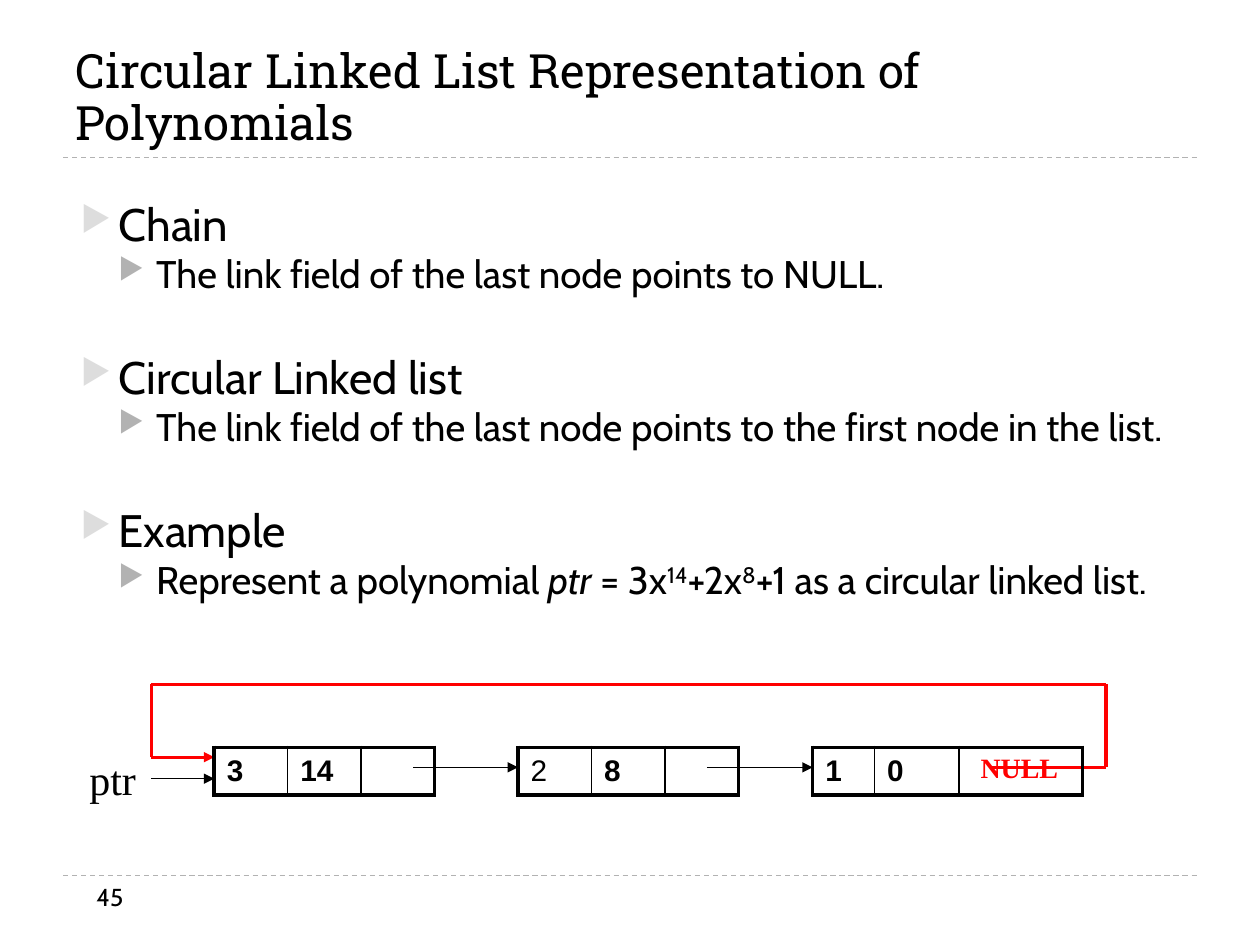
from lxml import etree
from pptx import Presentation
from pptx.dml.color import RGBColor
from pptx.enum.dml import MSO_LINE
from pptx.enum.shapes import MSO_CONNECTOR
from pptx.enum.text import MSO_ANCHOR, PP_ALIGN
from pptx.oxml.ns import qn
from pptx.util import Pt

STRAIGHT = MSO_CONNECTOR.STRAIGHT
DASH = MSO_LINE.DASH
BOTTOM = MSO_ANCHOR.BOTTOM
MIDDLE = MSO_ANCHOR.MIDDLE
CENTER = PP_ALIGN.CENTER

BLACK, RED, GRAY, LIGHT_GRAY = "000000", "FF0000", "B2B2B2", "DDDDDD"
SERIF, BODY_FONT = "Times New Roman", "Cabin"

TOPICS = [
    ("Chain", [("The link field of the last node points to NULL.", "")]),
    ("Circular Linked list",
     [("The link field of the last node points to the first node in the list.", "")]),
    ("Example",
     [("Represent a polynomial ", ""), ("ptr", "italic"), (" = 3x", ""), ("14", "super"),
      ("+2x", ""), ("8", "super"), ("+1 as a circular linked list.", "")]),
]
NODES = [
    (78.4, [42, 42, 42], [("3", True), ("14", True), ("", False)]),
    (252, [42, 42, 42], [("2", False), ("8", True), ("", False)]),
    (420.4, [35.3, 48.2, 70.6], [("1", True), ("0", True), ("", False)]),
]


def color(value):
    return RGBColor.from_string(value)


def format_run(run, size, name, fill=BLACK, bold=False):
    run.font.size = Pt(size)
    run.font.name = name
    run.font.bold = bold
    run.font.color.rgb = color(fill)


def add_text(slide, left, top, width, height, text, size, name, fill=BLACK, bold=False):
    shape = slide.shapes.add_textbox(Pt(left), Pt(top), Pt(width), Pt(height))
    shape.text_frame.word_wrap = True
    shape.text_frame.text = text
    for run in shape.text_frame.paragraphs[0].runs:
        format_run(run, size, name, fill, bold)
    return shape


def add_line(shapes, start, end, fill, weight, arrow=False):
    connector = shapes.add_connector(STRAIGHT, *(Pt(value) for value in start + end))
    connector.line.color.rgb = color(fill)
    connector.line.width = Pt(weight)
    if arrow:
        etree.SubElement(connector.line._get_or_add_ln(), qn("a:tailEnd"), type="triangle")
    etree.SubElement(connector._element.spPr, qn("a:effectLst"))
    return connector


def add_rule(slide, left, top, width):
    add_line(slide.shapes, (left, top), (left + width, top), GRAY, 0.75).line.dash_style = DASH


def add_title(slide, left, top, width, height):
    title = "Circular Linked List Representation of Polynomials"
    shape = add_text(slide, left, top, width, height, title, 27, "Roboto Slab")
    shape.text_frame.vertical_anchor = BOTTOM
    shape.text_frame.paragraphs[0].line_spacing = 0.92
    add_rule(slide, left, top + height, width)


def add_bullet(paragraph, indent, fill):
    properties = paragraph._p.get_or_add_pPr()
    properties.set("marL", str(Pt(indent)))
    properties.set("indent", str(-Pt(21.6)))
    bullet_color = etree.SubElement(properties, qn("a:buClr"))
    etree.SubElement(bullet_color, qn("a:srgbClr"), val=fill)
    etree.SubElement(properties, qn("a:buSzPct"), val="76000")
    etree.SubElement(properties, qn("a:buChar"), char="▶")


def add_topics(slide, left, top, width, height):
    frame = add_text(slide, left, top, width, height, "", 26, BODY_FONT).text_frame
    for index, (heading, pieces) in enumerate(TOPICS):
        paragraph = frame.add_paragraph() if index else frame.paragraphs[0]
        paragraph.text = heading
        paragraph.line_spacing = 0.8
        paragraph.space_before = Pt(36.5 if index else 0)
        add_bullet(paragraph, 21.6, LIGHT_GRAY)
        format_run(paragraph.runs[0], 26, BODY_FONT)

        detail = frame.add_paragraph()
        detail.level = 1
        detail.line_spacing = 0.8
        detail.space_before = Pt(5)
        add_bullet(detail, 43.2, GRAY)
        for text, style in pieces:
            run = detail.add_run()
            run.text = text
            format_run(run, 22, BODY_FONT)
            run.font.italic = style == "italic"
            if style == "super":
                run.font._element.set("baseline", "30000")


def set_borders(cell, weights):
    properties = cell._tc.get_or_add_tcPr()
    for position, (side, weight) in enumerate(weights.items()):
        line = etree.Element(qn(f"a:ln{side}"), w=str(Pt(weight)))
        fill = etree.SubElement(line, qn("a:solidFill"))
        etree.SubElement(fill, qn("a:srgbClr"), val=BLACK)
        properties.insert(position, line)


def add_node(slide, left, top, height, widths, fields):
    table = slide.shapes.add_table(
        1, len(widths), Pt(left), Pt(top), Pt(sum(widths)), Pt(height)).table
    table.first_row = False
    table.horz_banding = False
    table.rows[0].height = Pt(height)
    last = len(widths) - 1
    for index, (width, (text, bold)) in enumerate(zip(widths, fields)):
        table.columns[index].width = Pt(width)
        cell = table.cell(0, index)
        cell.fill.background()
        cell.margin_top = cell.margin_bottom = 0
        cell.vertical_anchor = MIDDLE
        cell.text_frame.text = text
        for run in cell.text_frame.paragraphs[0].runs:
            format_run(run, 17, "Arial", BLACK, bold)
        set_borders(cell, {"L": 1 if index else 2.25, "R": 2.25 if index == last else 1,
                           "T": 2.25, "B": 2.25})


def add_circular_list(slide, left, top):
    node_top, node_height = 36, 27.4
    link_y, return_y, pointer_y = 47.5, 41.7, 54
    start_x, first_x = 42.4, NODES[0][0]

    def at(x, y):
        return left + x, top + y

    for tail_x, (node_x, _, _) in zip((192.2, 360), NODES[1:]):
        add_line(slide.shapes, at(tail_x, link_y), at(node_x, link_y), BLACK, 0.75, True)

    corners = [(522, link_y), (588, link_y), (588, 0), (start_x, 0),
               (start_x, return_y), (first_x, return_y)]
    loop = slide.shapes.add_group_shape()
    for start, end in zip(corners, corners[1:]):
        add_line(loop.shapes, at(*start), at(*end), RED, 1.75, end == corners[-1])

    add_line(slide.shapes, at(start_x, pointer_y), at(first_x, pointer_y), BLACK, 0.75, True)
    add_text(slide, *at(0, node_top), 42, 36, "ptr", 24, SERIF)
    for node_x, widths, fields in NODES:
        add_node(slide, *at(node_x, node_top), node_height, widths, fields)
    label = add_text(slide, *at(509, 34.5), 59, 26.6, "NULL", 16, SERIF, RED, True)
    label.text_frame.word_wrap = False
    label.text_frame.paragraphs[0].alignment = CENTER


def add_footer(slide, left, top, width):
    add_rule(slide, left, top, width)
    add_text(slide, left + 12, top, 156, 29, "45", 14, BODY_FONT)


def main():
    presentation = Presentation()
    presentation.slide_width = Pt(720)
    presentation.slide_height = Pt(540)
    slide = presentation.slides.add_slide(presentation.slide_layouts[6])
    add_title(slide, 36, 12, 648, 78)
    add_topics(slide, 39, 114.5, 648, 250.5)
    add_circular_list(slide, 44, 391)
    add_footer(slide, 36, 500.4, 648)
    presentation.save("out.pptx")


if __name__ == "__main__":
    main()
